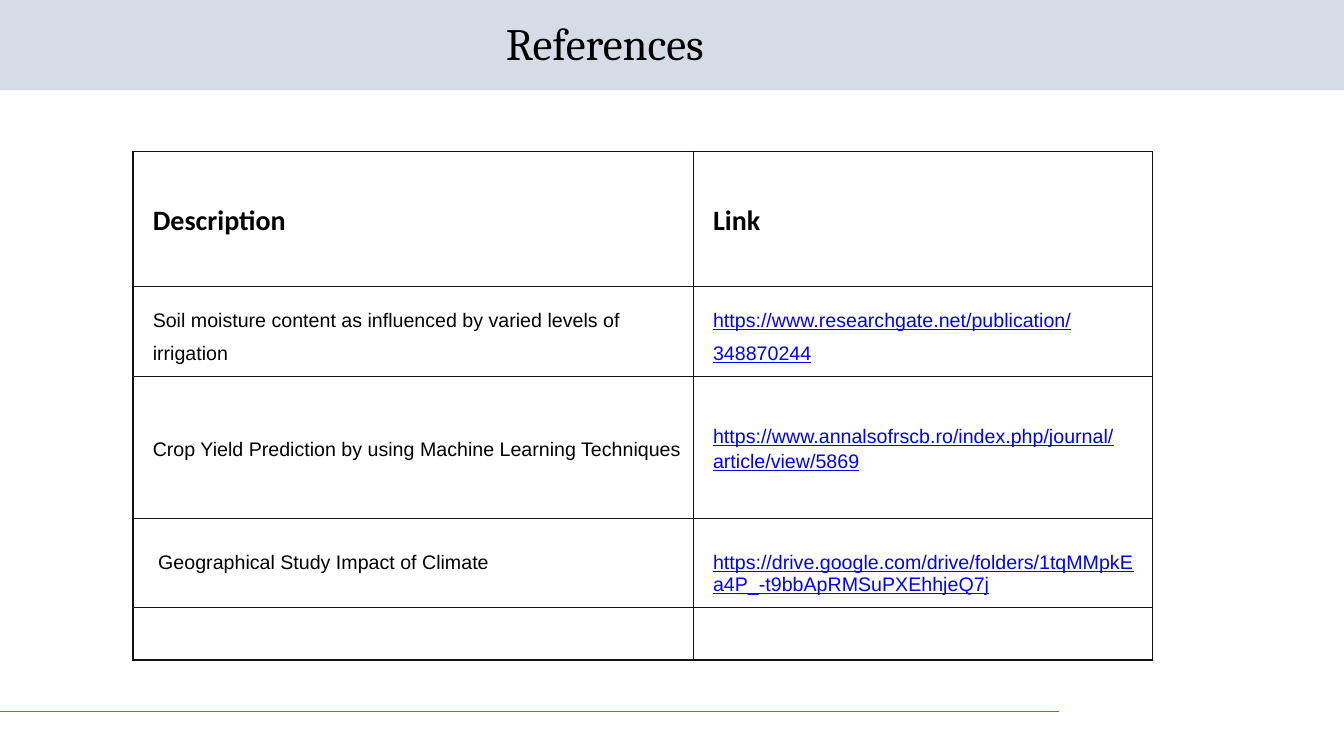
from dataclasses import dataclass

from lxml.etree import SubElement
from pptx import Presentation
from pptx.dml.color import RGBColor as Rgb
from pptx.enum.shapes import MSO_CONNECTOR as Connector
from pptx.enum.shapes import MSO_SHAPE as Shape
from pptx.enum.text import MSO_ANCHOR as Anchor
from pptx.enum.text import PP_ALIGN as Align
from pptx.oxml.ns import qn
from pptx.util import Cm, Pt


@dataclass(frozen=True)
class Theme:
    band: str = "D6DCE5"
    rule: str = "4472C4"
    ink: str = "000000"
    link: str = "0000FF"
    border: str = "131313"
    title_font: str = "Cambria"
    heading_font: str = "Calibri"
    body_font: str = "Arial"
    title_size: int = 32
    heading_size: int = 20
    body_size: int = 14
    rule_width: float = 0.75
    border_width: float = 1


class ReferenceSlide:
    def __init__(self, deck, theme):
        self.theme = theme
        self.slide = deck.slides.add_slide(deck.slide_layouts[6])

    def band(self, width, height):
        band = self.slide.shapes.add_shape(Shape.RECTANGLE, 0, 0, width, height)
        band.shadow.inherit = False
        band.fill.solid()
        band.fill.fore_color.rgb = Rgb.from_string(self.theme.band)
        band.line.fill.background()

    def rule(self, y, end):
        rule = self.slide.shapes.add_connector(Connector.STRAIGHT, 0, y, end, y)
        rule.line.color.rgb = Rgb.from_string(self.theme.rule)
        rule.line.width = Pt(self.theme.rule_width)
        SubElement(rule.element.spPr, qn("a:effectLst"))

    def run(self, paragraph, wording, font, size, color, bold=False, underline=False):
        run = paragraph.add_run()
        run.text = wording
        run.font.name = font
        run.font.size = Pt(size)
        run.font.color.rgb = Rgb.from_string(color)
        run.font.bold = bold
        run.font.underline = underline

    def title(self, wording, left, top, width, height):
        frame = self.slide.shapes.add_textbox(left, top, width, height).text_frame
        frame.word_wrap = True
        frame.vertical_anchor = Anchor.MIDDLE
        frame.margin_left = frame.margin_right = Cm(0.13)
        frame.margin_top = frame.margin_bottom = Cm(0.13)
        paragraph = frame.paragraphs[0]
        paragraph.alignment = Align.CENTER
        paragraph.line_spacing = 0.9
        self.run(paragraph, wording, self.theme.title_font,
                 self.theme.title_size, self.theme.ink)

    def cell_frame(self, cell):
        cell.vertical_anchor = Anchor.MIDDLE
        cell.margin_left = cell.margin_right = Cm(0.25)
        cell.margin_top = cell.margin_bottom = Cm(0.25)
        properties = cell._tc.get_or_add_tcPr()
        for side in ("lnL", "lnR", "lnT", "lnB"):
            edge = SubElement(properties, qn(f"a:{side}"),
                              w=str(Pt(self.theme.border_width)))
            fill = SubElement(edge, qn("a:solidFill"))
            SubElement(fill, qn("a:srgbClr"), val=self.theme.border)
        cell.fill.background()

    def cell_paragraph(self, cell, spacing):
        paragraph = cell.text_frame.paragraphs[0]
        paragraph.line_spacing = spacing
        properties = paragraph._p.get_or_add_pPr()
        properties.set("marL", str(Cm(0.25)))
        properties.set("indent", "0")
        return paragraph

    def references(self, left, top, widths, heights, headings, entries):
        theme = self.theme
        table = self.slide.shapes.add_table(
            len(heights), len(widths), left, top, sum(widths), sum(heights)).table
        table.first_row = table.horz_banding = False
        for column, width in zip(table.columns, widths):
            column.width = width
        for row, height in zip(table.rows, heights):
            row.height = height
        for cell in table.iter_cells():
            self.cell_frame(cell)
        for column, heading in enumerate(headings):
            paragraph = self.cell_paragraph(table.cell(0, column), 1.15)
            paragraph.alignment = Align.JUSTIFY
            self.run(paragraph, heading, theme.heading_font,
                     theme.heading_size, theme.ink, bold=True)
        for row, (description, link, spacing, lowered) in enumerate(entries, 1):
            paragraph = self.cell_paragraph(table.cell(row, 0), spacing)
            self.run(paragraph, description, theme.body_font,
                     theme.body_size, theme.ink)
            paragraph = self.cell_paragraph(table.cell(row, 1), spacing)
            if lowered:
                self.run(paragraph, " ", theme.body_font, theme.body_size, theme.ink)
                paragraph.add_line_break()
            self.run(paragraph, link, theme.body_font, theme.body_size,
                     theme.link, underline=True)


def main():
    deck = Presentation()
    deck.slide_width, deck.slide_height = Cm(33.87), Cm(19.05)
    page = ReferenceSlide(deck, Theme())
    page.band(deck.slide_width, Cm(2.27))
    page.rule(Cm(17.93), Cm(26.7))
    page.title("References", Cm(0.64), Cm(0.46), Cm(29.21), Cm(1.42))
    page.references(
        Cm(3.35), Cm(3.81),
        [Cm(14.12), Cm(11.58)],
        [Cm(3.4), Cm(1.8), Cm(3.58), Cm(1.96), Cm(1.32)],
        ["Description", "Link"],
        [
            ("Soil moisture content as influenced by varied levels of irrigation",
             "https://www.researchgate.net/publication/348870244", 1.5, False),
            ("Crop Yield Prediction by using Machine Learning Techniques",
             "https://www.annalsofrscb.ro/index.php/journal/article/view/5869",
             1.15, False),
            (" Geographical Study Impact of Climate",
             "https://drive.google.com/drive/folders/1tqMMpkEa4P_-t9bbApRMSuPXEhhjeQ7j",
             0.98, True),
        ])
    deck.save("out.pptx")


if __name__ == "__main__":
    main()
